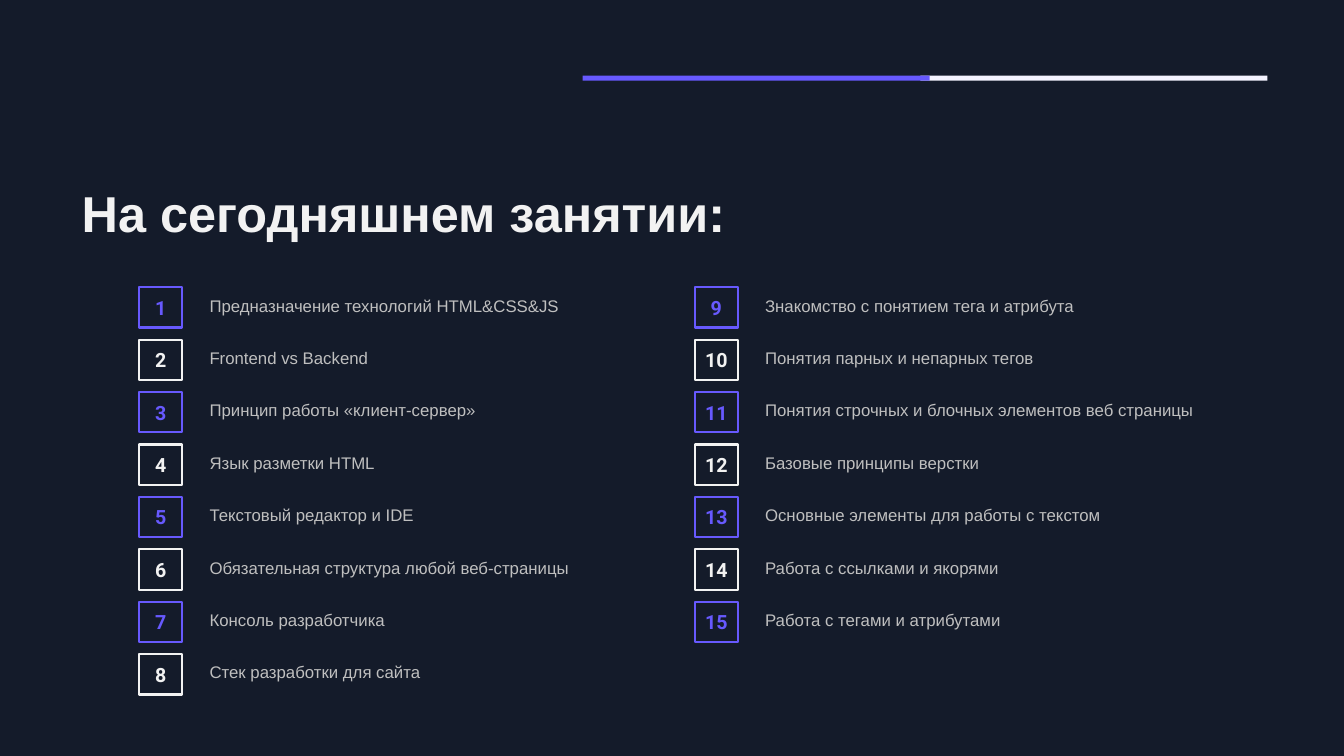
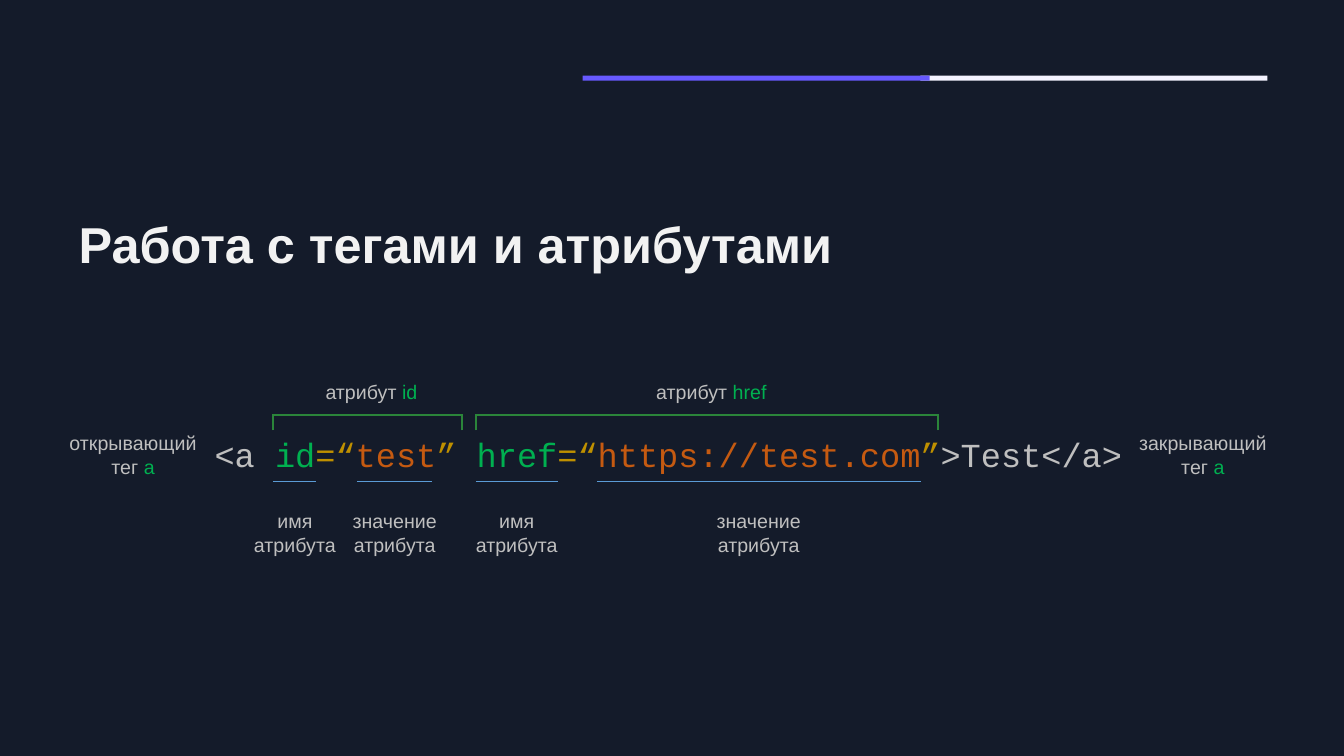
from lxml import etree
from pptx import Presentation
from pptx.dml.color import RGBColor
from pptx.enum.shapes import MSO_CONNECTOR as CONN, MSO_SHAPE as SHAPE
from pptx.enum.text import MSO_ANCHOR as ANCHOR, MSO_AUTO_SIZE as FIT, PP_ALIGN as ALIGN
from pptx.oxml.ns import qn
from pptx.util import Inches, Pt

COLORS = {
    "bg": "141B2A",
    "light": "F2F2F2",
    "band": "F4F3FF",
    "accent": "6759FE",
    "text": "BFBFBF",
    "name": "00B050",
    "quote": "BF9000",
    "value": "C55A11",
    "bracket": "2B853A",
    "underline": "5B9BD5",
}

TOPICS = [
    ["Предназначение технологий HTML&CSS&JS",
     "Frontend vs Backend",
     "Принцип работы «клиент-сервер»",
     "Язык разметки HTML",
     "Текстовый редактор и IDE",
     "Обязательная структура любой веб-страницы",
     "Консоль разработчика",
     "Стек разработки для сайта"],
    ["Знакомство с понятием тега и атрибута",
     "Понятия парных и непарных тегов",
     "Понятия строчных и блочных элементов веб страницы",
     "Базовые принципы верстки",
     "Основные элементы для работы с текстом",
     "Работа с ссылками и якорями",
     "Работа с тегами и атрибутами"],
]

CODE = [("<a ", "text"), ("id", "name"), ("=“", "quote"), ("test", "value"),
        ("” ", "quote"), ("href", "name"), ("=“", "quote"),
        ("https://test.com", "value"), ("”", "quote"), (">Test</a>", "text")]


def rgb(name):
    return RGBColor.from_string(COLORS[name])


class Deck:
    def __init__(self):
        self.prs = Presentation()
        self.prs.slide_width = Inches(13.33)
        self.prs.slide_height = Inches(7.5)
        fill = self.prs.slide_master.background.fill
        fill.solid()
        fill.fore_color.rgb = rgb("bg")
        self.s = None

    def style(self, r, size, color, font="Arial", bold=False):
        r.font.size = Pt(size)
        r.font.name = font
        r.font.bold = bold
        r.font.color.rgb = rgb(color)

    def slide(self, title, x, y, w, h):
        self.s = self.prs.slides.add_slide(self.prs.slide_layouts[5])
        sp = self.s.shapes.title
        sp.left, sp.top, sp.width, sp.height = (Inches(v) for v in (x, y, w, h))
        tf = sp.text_frame
        tf.text = title
        tf.auto_size = FIT.NONE
        tf.vertical_anchor = ANCHOR.TOP
        p = tf.paragraphs[0]
        p.alignment = ALIGN.LEFT
        p.line_spacing = 0.9
        self.style(p.runs[0], 36, "light", bold=True)
        self.band(9.13, "band")
        self.band(5.78, "accent")

    def rect(self, x, y, w, h):
        sp = self.s.shapes.add_shape(SHAPE.RECTANGLE, Inches(x), Inches(y), Inches(w), Inches(h))
        sp.shadow.inherit = False
        return sp

    def band(self, x, color):
        sp = self.rect(x, 0.75, 3.44, 0.05)
        sp.fill.solid()
        sp.fill.fore_color.rgb = rgb(color)
        sp.line.fill.background()

    def badge(self, x, y, number):
        color = "accent" if number % 2 else "light"
        sp = self.rect(x, y, 0.43, 0.4)
        sp.fill.background()
        sp.line.color.rgb = rgb(color)
        sp.line.width = Pt(1.5)
        tf = sp.text_frame
        tf.margin_left = tf.margin_right = tf.margin_top = tf.margin_bottom = Inches(0.1)
        tf.vertical_anchor = ANCHOR.MIDDLE
        tf.word_wrap = True
        tf.text = str(number)
        p = tf.paragraphs[0]
        p.alignment = ALIGN.CENTER
        self.style(p.runs[0], 14, color, "Roboto", True)

    def text(self, x, y, w, h, lines, size=14, font="Arial", align=ALIGN.LEFT, wrap=False):
        tf = self.s.shapes.add_textbox(Inches(x), Inches(y), Inches(w), Inches(h)).text_frame
        tf.word_wrap = wrap
        tf.auto_size = FIT.NONE if wrap else FIT.SHAPE_TO_FIT_TEXT
        for i, line in enumerate(lines):
            p = tf.add_paragraph() if i else tf.paragraphs[0]
            p.alignment = align
            for words, color in line:
                r = p.add_run()
                r.text = words
                self.style(r, size, color, font)

    def line(self, x1, y1, x2, y2, color, width):
        c = self.s.shapes.add_connector(CONN.STRAIGHT, Inches(x1), Inches(y1), Inches(x2), Inches(y2))
        c.line.color.rgb = rgb(color)
        c.line.width = Pt(width)
        etree.SubElement(c._element.spPr, qn("a:effectLst"))

    def bracket(self, x1, x2):
        self.line(x1, 4.12, x2, 4.12, "bracket", 1.5)
        for x in (x1, x2):
            self.line(x, 4.27, x, 4.11, "bracket", 1.5)

    def save(self):
        self.prs.save("out.pptx")


def agenda(deck):
    deck.slide("На сегодняшнем занятии:", 0.71, 1.82, 8.5, 0.66)
    number = 1
    for x, topics in zip((1.38, 6.89), TOPICS):
        for row, topic in enumerate(topics):
            y = 2.85 + row * 0.52
            deck.badge(x, y, number)
            deck.text(x + 0.6, y + 0.03, 4.63, 0.34, [[(topic, "text")]], 12, wrap=True)
            number += 1


def attributes(deck):
    deck.slide("Работа с тегами и атрибутами", 0.68, 2.13, 11.89, 0.84)
    deck.text(2.03, 4.26, 9.27, 0.5, [CODE], 24, "Courier New")
    for x, w, name, left, right in ((3.13, 1.15, "id", 2.71, 4.58),
                                    (6.41, 1.31, "href", 4.72, 9.3)):
        deck.text(x, 3.72, w, 0.34, [[("атрибут ", "text"), (name, "name")]])
        deck.bracket(left, right)
    for x, w, word, left, right in ((2.41, 1.03, "имя", 2.71, 3.13),
                                    (3.39, 1.05, "значение", 3.54, 4.28),
                                    (4.61, 1.03, "имя", 4.72, 5.53),
                                    (7, 1.05, "значение", 5.92, 9.13)):
        deck.line(left, 4.78, right, 4.78, "underline", 0.5)
        deck.text(x, 5, w, 0.57, [[(word, "text")], [("атрибута", "text")]], align=ALIGN.CENTER)
    for x, word in ((0.58, "открывающий"), (11.19, "закрывающий")):
        deck.text(x, 4.23, 1.48, 0.57, [[(word, "text")], [("тег ", "text"), ("а", "name")]],
                  align=ALIGN.CENTER)


def main():
    deck = Deck()
    agenda(deck)
    attributes(deck)
    deck.save()


if __name__ == "__main__":
    main()
